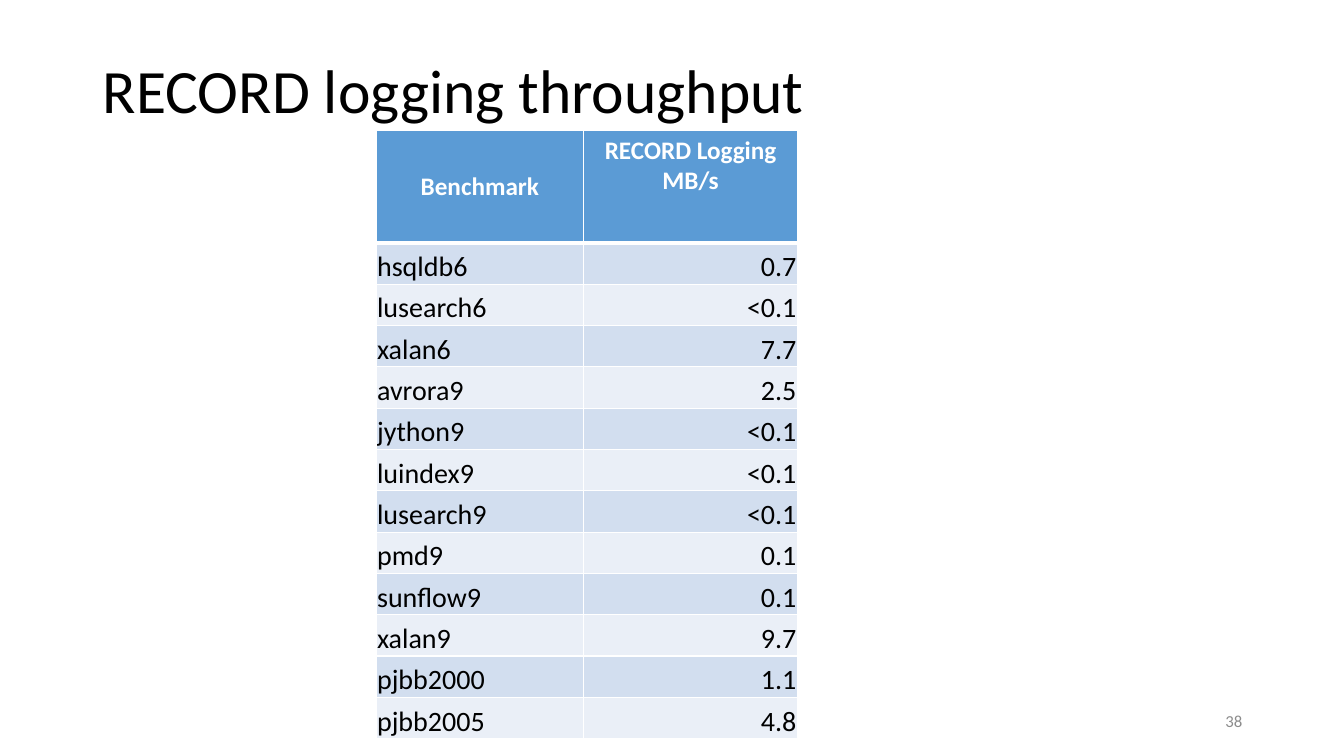
"""Build the RECORD logging throughput slide."""
from dataclasses import dataclass

from lxml.etree import SubElement
from pptx import Presentation
from pptx.dml.color import RGBColor
from pptx.enum.text import MSO_ANCHOR, MSO_AUTO_SIZE, PP_ALIGN
from pptx.oxml.ns import qn
from pptx.util import Inches, Pt


@dataclass(frozen=True)
class Theme:
    """Hold the colours, font and type sizes."""
    font: str = "Calibri"
    ink: str = "000000"
    white: str = "FFFFFF"
    muted: str = "8C8C8C"
    header: str = "5B9BD5"
    bands: tuple = ("D2DEEF", "EAEFF7")
    title_size: int = 44
    header_size: int = 18
    body_size: int = 20
    number_size: int = 12


def apply(target, formats):
    """Set each format value on the target."""
    for name, value in formats.items():
        setattr(target, name, value)


class Deck:
    """Draw elements on the current slide in one style."""

    def __init__(self, prs, theme):
        """Add a title-only slide."""
        self.theme = theme
        self.slide = prs.slides.add_slide(prs.slide_layouts[5])

    def text(self, tf, text, size, color, align, bold=False, spacing=None):
        """Fill a text frame, one paragraph per line."""
        tf.text = text
        for p in tf.paragraphs:
            apply(p, {"alignment": align, "line_spacing": spacing})
            for r in p.runs:
                apply(r.font, {"name": self.theme.font, "size": Pt(size), "bold": bold})
                r.font.color.rgb = RGBColor.from_string(color)

    def place(self, sp, box):
        """Position a text shape and centre it vertically."""
        apply(sp, dict(zip(("left", "top", "width", "height"), map(Inches, box))))
        apply(sp.text_frame, {"word_wrap": True, "auto_size": MSO_AUTO_SIZE.NONE,
                              "vertical_anchor": MSO_ANCHOR.MIDDLE})

    def title(self, text, box):
        """Fill the title placeholder."""
        sp = self.slide.shapes.title
        self.place(sp, box)
        self.text(sp.text_frame, text, self.theme.title_size, self.theme.ink,
                  PP_ALIGN.LEFT, spacing=0.9)

    def number(self, text, box):
        """Add the slide number."""
        sp = self.slide.shapes.add_textbox(*map(Inches, box))
        self.place(sp, box)
        self.text(sp.text_frame, text, self.theme.number_size, self.theme.muted, PP_ALIGN.RIGHT)

    def borders(self, cell, top, bottom):
        """Draw white cell borders with the given top and bottom widths."""
        tcPr = cell._tc.get_or_add_tcPr()
        for side, width in {"L": 1, "R": 1, "T": top, "B": bottom}.items():
            ln = SubElement(tcPr, qn(f"a:ln{side}"), w=str(Pt(width)))
            fill = SubElement(ln, qn("a:solidFill"))
            SubElement(fill, qn("a:srgbClr"), val=self.theme.white)

    def table(self, header, rows, left, top, widths, header_height, row_height):
        """Add a banded table with a header row."""
        theme = self.theme
        height = header_height + row_height * len(rows)
        tbl = self.slide.shapes.add_table(
            len(rows) + 1, len(header), *map(Inches, (left, top, sum(widths), height))).table
        for col, width in zip(tbl.columns, widths):
            col.width = Inches(width)
        for i, values in enumerate([header, *rows]):
            tbl.rows[i].height = Inches(row_height if i else header_height)
            for j, value in enumerate(values):
                cell = tbl.cell(i, j)
                self.borders(cell, 3 if i == 1 else 1, 1 if i else 3)
                cell.fill.solid()
                cell.fill.fore_color.rgb = RGBColor.from_string(
                    theme.bands[(i - 1) % 2] if i else theme.header)
                if i:
                    apply(cell, {"vertical_anchor": MSO_ANCHOR.BOTTOM,
                                 "margin_left": Inches(0.01), "margin_top": Inches(0.01),
                                 "margin_right": Inches(0.01), "margin_bottom": 0})
                    self.text(cell.text_frame, value, theme.body_size, theme.ink,
                              PP_ALIGN.RIGHT if j else PP_ALIGN.LEFT, spacing=Pt(15))
                else:
                    cell.vertical_anchor = MSO_ANCHOR.TOP if j else MSO_ANCHOR.MIDDLE
                    self.text(cell.text_frame, value, theme.header_size, theme.white,
                              PP_ALIGN.CENTER, bold=True)


HEADER = ("Benchmark", "RECORD Logging\nMB/s")
THROUGHPUT = [
    ("hsqldb6", "0.7"), ("lusearch6", "<0.1"), ("xalan6", "7.7"),
    ("avrora9", "2.5"), ("jython9", "<0.1"), ("luindex9", "<0.1"),
    ("lusearch9", "<0.1"), ("pmd9", "0.1"), ("sunflow9", "0.1"),
    ("xalan9", "9.7"), ("pjbb2000", "1.1"), ("pjbb2005", "4.8"),
]

prs = Presentation()
apply(prs, {"slide_width": Inches(13.33), "slide_height": Inches(7.5)})
deck = Deck(prs, Theme())
deck.number("38", (9.42, 6.95, 3, 0.4))
deck.title("RECORD logging throughput", (0.92, 0.2, 11.5, 1.45))
deck.table(HEADER, THROUGHPUT, 3.73, 1.29, (2.06, 2.12), 1.12, 0.41)
prs.save("out.pptx")
